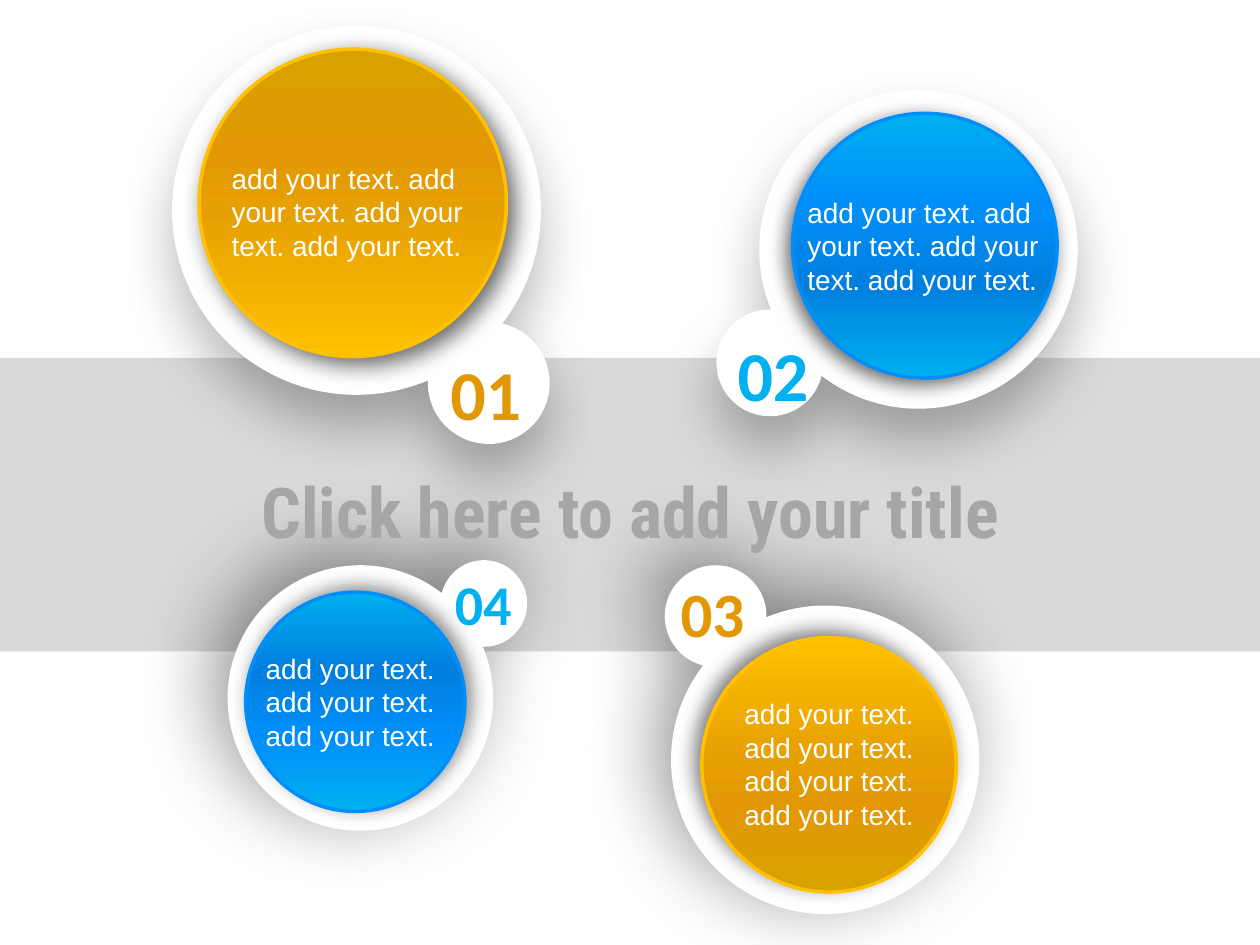
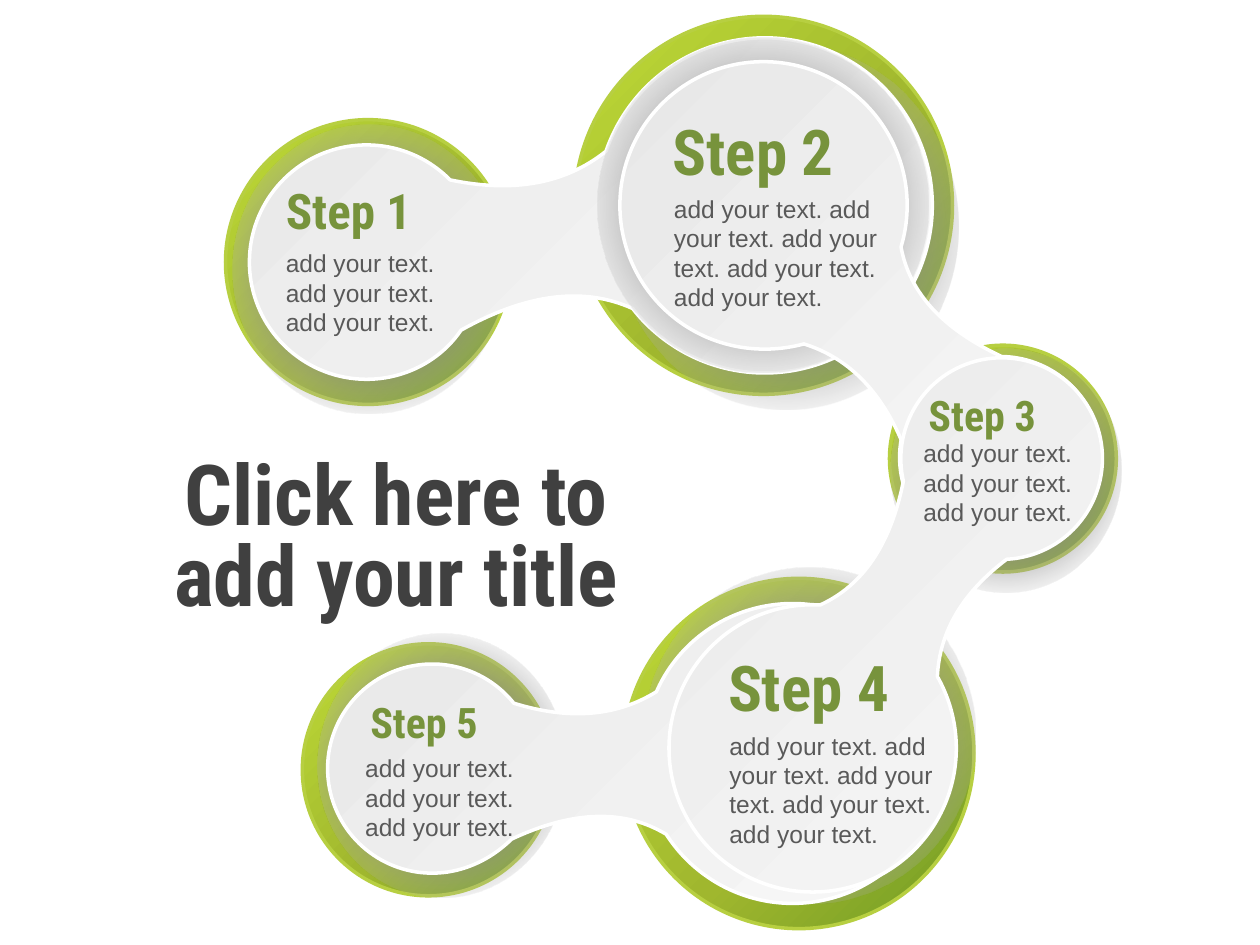
from math import acos, atan2, ceil, cos, hypot, pi, sin, tan

from lxml import etree
from pptx import Presentation
from pptx import util as u
from pptx.dml.color import RGBColor
from pptx.enum import shapes, text
from pptx.oxml.ns import qn

WHITE = RGBColor(0xFF, 0xFF, 0xFF)
BLACK = RGBColor(0x00, 0x00, 0x00)
BAND = RGBColor(0xD9, 0xD9, 0xD9)
TITLE_GREY = RGBColor(0xA6, 0xA6, 0xA6)
TITLE_DARK = RGBColor(0x40, 0x40, 0x40)
BODY = RGBColor(0x59, 0x59, 0x59)
ORANGE = RGBColor(0xE2, 0x98, 0x04)
GOLD = RGBColor(0xFF, 0xC0, 0x00)
SKY = RGBColor(0x00, 0xB0, 0xF0)
BLUE = RGBColor(0x00, 0x8F, 0xFA)
STEP_GREEN = RGBColor(0x77, 0x93, 0x3C)
RIM_GREEN = RGBColor(0xB7, 0xCF, 0x41)

# Gradient stops: position, colour, opacity (all in percent)
GOLD_STOPS = [(0, RGBColor(0xD7, 0xA2, 0x00), 100), (34, ORANGE, 100),
              (53, RGBColor(0xE6, 0xA0, 0x03), 100), (100, GOLD, 100)]
BLUE_STOPS = [(0, SKY, 100), (34, BLUE, 100),
              (65, RGBColor(0x00, 0x7F, 0xDE), 100), (100, SKY, 100)]
GREEN_STOPS = [(0, RGBColor(0x71, 0x9C, 0x24), 100),
               (43, RGBColor(0xA0, 0xB7, 0x2E), 100),
               (100, RGBColor(0xBE, 0xDA, 0x36), 100)]
SHADE_STOPS = [(33, RGBColor(0x71, 0x71, 0x71), 100),
               (82, RGBColor(0xBF, 0xBF, 0xBF), 0), (100, WHITE, 100)]
LINK_STOPS = [(0, RGBColor(0xE8, 0xE8, 0xE8), 100),
              (100, RGBColor(0xF8, 0xF8, 0xF8), 100)]

HEADING_FONT, NUMBER_FONT, BODY_FONT = "Roboto Condensed", "Calibri", "Arial"
TITLE = "Click here to add your title"
PHRASE = "add your text."

# Content, in inches. Circles are (centre x, centre y, radius),
# shadows are (opacity, blur, distance, direction).
BUBBLES = [
    dict(number="01", size=40, colour=ORANGE, number_box=(3.33, 2.53, 1.05, 0.91),
         plate=(2.83, 1.67, 1.45), badge=(3.88, 3.04, 0.47),
         plate_shadow=(28, 32, 17, 90),
         disc=(2.8, 1.61, 1.22), stops=GOLD_STOPS, angle=90, rim=GOLD,
         disc_shadow=(60, 13, 5, 45), phrases=4, body_box=(1.74, 1.23, 2.08, 0.91)),
    dict(number="02", size=40, colour=SKY, number_box=(5.61, 2.38, 1.05, 0.91),
         plate=(7.29, 1.98, 1.25), badge=(6.11, 2.88, 0.41),
         plate_shadow=(28, 32, 17, 90),
         disc=(7.34, 1.95, 1.05), stops=BLUE_STOPS, angle=90, rim=BLUE,
         disc_shadow=(58, 11, 4, 135), phrases=4, body_box=(6.31, 1.5, 2.08, 0.91)),
    dict(number="03", size=36, colour=ORANGE, number_box=(5.13, 4.33, 1.05, 0.82),
         plate=(6.55, 6.03, 1.21), badge=(5.68, 4.89, 0.39),
         plate_shadow=(41, 45, 12, 225),
         disc=(6.58, 6.07, 1.01), stops=GOLD_STOPS, angle=270, rim=GOLD,
         disc_shadow=(49, 11, 5, 225), phrases=4, body_box=(5.81, 5.48, 1.79, 1.18)),
    dict(number="04", size=32, colour=SKY, number_box=(3.31, 4.31, 1.05, 0.74),
         plate=(2.86, 5.54, 1.04), badge=(3.84, 4.79, 0.33),
         plate_shadow=(41, 45, 12, 225),
         disc=(2.82, 5.57, 0.87), stops=BLUE_STOPS, angle=270, rim=BLUE,
         disc_shadow=(46, 11, 4, 315), phrases=3, body_box=(2.01, 5.12, 1.68, 0.91)),
]

RINGS = {1: (2.92, 2.08, 1.13), 2: (6.06, 1.63, 1.5), 3: (7.96, 3.64, 0.9),
         4: (6.34, 5.98, 1.39), 5: (3.4, 6.11, 1)}
SHADES = {1: (1.85, 0.99, 2.16, 2.29), 2: (4.87, 0.35, 2.74, 2.9),
          3: (7.07, 2.77, 1.83, 1.93), 4: (5.11, 4.51, 2.63, 2.66),
          5: (2.52, 5.03, 1.97, 2.09)}
INNER_SHADE = (4.74, 0.3, 2.63, 2.66)
# Link: first circle, neck (start, middle, end), second circle, neck back
LINKS = {
    "4-5": ((6.29, 5.98, 1.19), [(5.29, 6.62), (4.73, 6.48), (4.06, 6.66)],
            (3.43, 6.1, 0.83), [(4.08, 5.58), (4.69, 5.66), (5.21, 5.49)]),
    "1-2": ((6.07, 1.63, 1.33), [(5.02, 2.45), (4.39, 2.36), (3.66, 2.62)],
            (2.91, 2.08, 0.93), [(3.57, 1.43), (4.26, 1.45), (4.81, 1.2)]),
    "2-3": ((6.06, 1.63, 1.14), [(7.15, 1.96), (7.4, 2.45), (7.95, 2.83)],
            (7.94, 3.63, 0.8), [(7.15, 3.49), (6.83, 3), (6.38, 2.73)]),
    "3-4": ((6.45, 5.94, 1.14), [(6.51, 4.8), (6.93, 4.44), (7.17, 3.82)],
            (7.95, 3.64, 0.8), [(7.99, 4.44), (7.59, 4.87), (7.44, 5.37)]),
}
# Step: name, size, heading box, number of phrases, body box
STEPS = [
    ("Step 1", 28, (2.17, 1.47, 1.51, 0.48), 3, (2.17, 1.92, 1.63, 0.81)),
    ("Step 2", 36, (5.24, 0.96, 1.66, 0.48), 5, (5.25, 1.49, 1.99, 1.04)),
    ("Step 3", 24, (7.27, 3.12, 1.32, 0.42), 3, (7.23, 3.43, 1.53, 0.81)),
    ("Step 4", 36, (5.68, 5.21, 1.66, 0.59), 5, (5.69, 5.75, 1.99, 1.04)),
    ("Step 5", 24, (2.84, 5.56, 1.32, 0.42), 3, (2.8, 5.93, 1.53, 0.81)),
]


def length(inches):
    return u.Cm(inches * 2.54)


# Outlines: lists of Bezier points, three to a curve
def on_circle(circle, angle, lead=0):
    """Point at an angle, moved along the tangent by lead radii."""
    cx, cy, radius = circle
    return (cx + radius * (cos(angle) - lead * sin(angle)),
            cy + radius * (sin(angle) + lead * cos(angle)))


def angle_to(circle, point):
    return atan2(point[1] - circle[1], point[0] - circle[0])


def arc(circle, start, end):
    """Curves along a circle, clockwise from the point start to end."""
    first = angle_to(circle, start)
    sweep = (angle_to(circle, end) - first) % (2 * pi)
    count = ceil(sweep / (pi / 4))
    step = sweep / count
    lead = 4 / 3 * tan(step / 4)
    points = []
    for i in range(count):
        a, b = first + i * step, first + (i + 1) * step
        points += [on_circle(circle, a, lead), on_circle(circle, b, -lead),
                   on_circle(circle, b)]
    return points


def neck_curve(neck):
    """One curve through the start, middle and end of a neck."""
    start, middle, end = neck
    bend = [2 * m - (s + e) / 2 for s, m, e in zip(start, middle, end)]
    handles = [tuple((p + 2 * b) / 3 for p, b in zip(point, bend))
               for point in (start, end)]
    return handles + [end]


def plate_outline(plate, badge):
    """Union of two overlapping circles."""
    distance = hypot(badge[0] - plate[0], badge[1] - plate[1])
    along = (plate[2] ** 2 - badge[2] ** 2 + distance ** 2) / (2 * distance)
    middle, half = angle_to(plate, badge), acos(along / plate[2])
    start, end = on_circle(plate, middle + half), on_circle(plate, middle - half)
    return arc(plate, start, end) + arc(badge, end, start)


def link_outline(first, out, second, back):
    return (arc(first, back[2], out[0]) + neck_curve(out)
            + arc(second, out[2], back[0]) + neck_curve(back))


# Drawing
def add_colour(parent, colour, opacity):
    node = etree.SubElement(parent, qn("a:srgbClr"), val=str(colour))
    if opacity < 100:
        etree.SubElement(node, qn("a:alpha"), val=str(opacity * 1000))


def style(sp, fill, angle=None, line=None, shadow=None):
    """Fill with a colour or with stops; stops without an angle are radial."""
    sp.shadow.inherit = False
    if isinstance(fill, RGBColor):
        sp.fill.solid()
        sp.fill.fore_color.rgb = fill
    else:
        sp.fill.gradient()
        grad = sp._element.spPr.find(qn("a:gradFill"))
        for child in list(grad):
            grad.remove(child)
        stops = etree.SubElement(grad, qn("a:gsLst"))
        for position, colour, opacity in fill:
            stop = etree.SubElement(stops, qn("a:gs"), pos=str(position * 1000))
            add_colour(stop, colour, opacity)
        if angle is None:
            radial = etree.SubElement(grad, qn("a:path"), path="circle")
            etree.SubElement(radial, qn("a:fillToRect"),
                             {side: "50000" for side in "ltrb"})
        else:
            etree.SubElement(grad, qn("a:lin"), ang=str(angle * 60000), scaled="0")
    if line is None:
        sp.line.fill.background()
    else:
        sp.line.color.rgb = line
        sp.line.width = u.Pt(2)
    if shadow:
        opacity, blur, distance, direction = shadow
        effects = sp._element.spPr.find(qn("a:effectLst"))
        outer = etree.SubElement(effects, qn("a:outerShdw"), blurRad=str(u.Pt(blur)),
                                 dist=str(u.Pt(distance)), dir=str(direction * 60000),
                                 algn="ctr", rotWithShape="0")
        add_colour(outer, BLACK, opacity)


def add_preset(s, kind, box, *args, **kwargs):
    style(s.shapes.add_shape(kind, *map(length, box)), *args, **kwargs)


def add_circle(s, circle, *args, **kwargs):
    cx, cy, radius = circle
    box = (cx - radius, cy - radius, 2 * radius, 2 * radius)
    add_preset(s, shapes.MSO_SHAPE.OVAL, box, *args, **kwargs)


def add_outline(s, points, *args, **kwargs):
    points = [(length(x), length(y)) for x, y in points]
    builder = s.shapes.build_freeform(*points[-1])
    builder.add_line_segments(points, close=True)
    sp = builder.convert_to_shape()
    # Turn each three line segments into one curve
    lines = list(sp._element.iter(qn("a:lnTo")))
    for i in range(0, len(points), 3):
        curve = etree.Element(qn("a:cubicBezTo"))
        lines[i].addprevious(curve)
        for segment in lines[i:i + 3]:
            curve.append(segment[0])
            segment.getparent().remove(segment)
    style(sp, *args, **kwargs)


def add_text(s, box, words, size, colour, font=BODY_FONT, bold=False,
             centred=False, spacing=None):
    tf = s.shapes.add_textbox(*map(length, box)).text_frame
    tf.word_wrap = True
    tf.auto_size = text.MSO_AUTO_SIZE.SHAPE_TO_FIT_TEXT
    p = tf.paragraphs[0]
    p.alignment = text.PP_ALIGN.CENTER if centred else text.PP_ALIGN.LEFT
    if spacing:
        p.line_spacing = spacing
    r = p.add_run()
    r.text = words
    r.font.size, r.font.name, r.font.bold = u.Pt(size), font, bold
    r.font.color.rgb = colour


def add_body(s, box, phrases, size, colour):
    add_text(s, box, " ".join([PHRASE] * phrases), size, colour)


def build_bubbles(s):
    add_preset(s, shapes.MSO_SHAPE.RECTANGLE, (0, 2.84, 10, 2.33), BAND)
    for b in BUBBLES:
        add_outline(s, plate_outline(b["plate"], b["badge"]), WHITE,
                    line=WHITE, shadow=b["plate_shadow"])
        add_circle(s, b["disc"], b["stops"], b["angle"], b["rim"], b["disc_shadow"])
    add_text(s, (1.89, 3.47, 6.22, 0.87), TITLE, 40, TITLE_GREY, HEADING_FONT,
             bold=True, centred=True, spacing=1.3)
    for b in BUBBLES:
        add_text(s, b["number_box"], b["number"], b["size"], b["colour"], NUMBER_FONT,
                 bold=True, centred=True, spacing=1.3)
        add_body(s, b["body_box"], b["phrases"], 16, WHITE)


def build_steps(s):
    def add_shade(box):
        add_preset(s, shapes.MSO_SHAPE.OVAL, box, SHADE_STOPS)

    def add_rings(*numbers):
        for n in numbers:
            add_circle(s, RINGS[n], GREEN_STOPS, 225, RIM_GREEN)
            add_shade(SHADES[n])

    def add_link(name):
        add_outline(s, link_outline(*LINKS[name]), LINK_STOPS, 45, WHITE)

    # Chain of rings and links, from back to front
    add_rings(5, 4)
    add_link("4-5")
    add_rings(1, 3, 2)
    add_link("1-2")
    add_shade(INNER_SHADE)
    add_link("2-3")
    add_link("3-4")
    # Title and step texts
    add_text(s, (1.06, 3.61, 4.17, 1.39), TITLE, 48, TITLE_DARK, HEADING_FONT,
             bold=True, centred=True, spacing=0.8)
    for name, size, heading_box, phrases, body_box in STEPS:
        add_text(s, heading_box, name, size, STEP_GREEN, HEADING_FONT,
                 bold=True, spacing=0.8)
        add_body(s, body_box, phrases, 14, BODY)


prs = Presentation()
prs.slide_width, prs.slide_height = u.Cm(25.4), u.Cm(19.05)
for build in (build_bubbles, build_steps):
    build(prs.slides.add_slide(prs.slide_layouts[6]))
prs.save("out.pptx")
